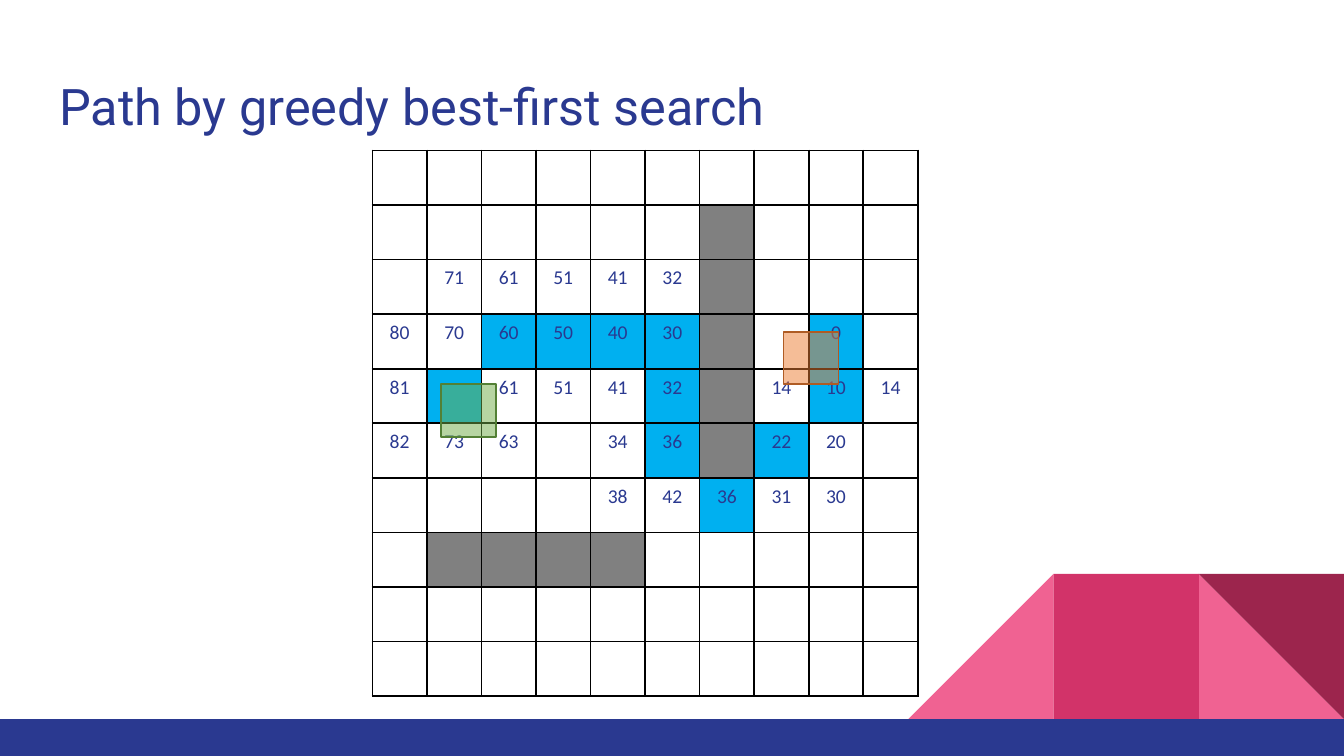
"""Build a slide showing the grid path found by greedy best-first search."""
import lxml.etree
import pptx
import pptx.dml.color
import pptx.enum.shapes
import pptx.enum.text
import pptx.oxml
import pptx.oxml.ns
import pptx.util

Inches = pptx.util.Inches
Pt = pptx.util.Pt
Shape = pptx.enum.shapes.MSO_SHAPE
qn = pptx.oxml.ns.qn

NAVY = "2A3990"
PINK = "F06292"
WALL = "808080"
PATH_BLUE = "00B0F0"


def color(hex_string):
    """Turn a hex string into a colour."""
    return pptx.dml.color.RGBColor.from_string(hex_string)


def add_block(kind, left, top, width, height, fill):
    """Add a filled shape without outline or shadow."""
    block = slide.shapes.add_shape(
        kind, Inches(left), Inches(top), Inches(width), Inches(height))
    block.shadow.inherit = False
    block.fill.solid()
    block.fill.fore_color.rgb = color(fill)
    block.line.fill.background()
    return block


deck = pptx.Presentation()
deck.slide_width = Inches(10)
deck.slide_height = Inches(10) * 9 // 16
slide = deck.slides.add_slide(deck.slide_layouts[5])

side = 1.08
decor_top = 4.27
add_block(Shape.RIGHT_TRIANGLE, 8.92, decor_top, side, side, PINK)
left_triangle = add_block(Shape.RIGHT_TRIANGLE, 6.76, decor_top, side, side, PINK)
left_triangle.element.spPr.xfrm.set("flipH", "1")
add_block(Shape.RECTANGLE, 7.84, decor_top, side, side, "D23369")
dark_triangle = add_block(Shape.RIGHT_TRIANGLE, 8.92, decor_top, side, side, "9C254D")
dark_triangle.rotation = 180
add_block(Shape.RECTANGLE, 0, 5.35, 10, 0.28, NAVY)

title = slide.shapes.title
title.left, title.top = Inches(0.34), Inches(0.45)
title.width, title.height = Inches(9.32), Inches(0.66)
frame = title.text_frame
frame.text = "Path by greedy best-first search"
frame.word_wrap = True
frame.auto_size = pptx.enum.text.MSO_AUTO_SIZE.NONE
frame.vertical_anchor = pptx.enum.text.MSO_ANCHOR.BOTTOM
frame.margin_left = frame.margin_right = Inches(0.1)
frame.margin_top = frame.margin_bottom = Inches(0.1)
para = frame.paragraphs[0]
para.alignment = pptx.enum.text.PP_ALIGN.LEFT
para.font.size = Pt(27)
para.font.name = "Roboto"
para.font.color.rgb = color(NAVY)

grid_rows = [
    ".  .  .   .   .   .   .   .   .   .",
    ".  .  .   .   .   .   #   .   .   .",
    ".  71 61  51  41  32  #   .   .   .",
    "80 70 *60 *50 *40 *30 #   .   *0  .",
    "81 *  61  51  41  *32 #   14  *10 14",
    "82 73 63  .   34  *36 #   *22 20  .",
    ".  .  .   .   38  42  *36 31  30  .",
    ".  #  #   #   #   .   .   .   .   .",
    ".  .  .   .   .   .   .   .   .   .",
    ".  .  .   .   .   .   .   .   .   .",
]
count = len(grid_rows)
grid_size = Inches(4.06)
grid = slide.shapes.add_table(
    count, count, Inches(2.77), Inches(1.12), grid_size, grid_size).table
grid.first_row = False
grid.horz_banding = False
for grid_column in grid.columns:
    grid_column.width = grid_size // count
for grid_row in grid.rows:
    grid_row.height = grid_size // count

for row, row_text in enumerate(grid_rows):
    for column, mark in enumerate(row_text.split()):
        cell = grid.cell(row, column)
        cell.margin_left = cell.margin_right = Inches(0.08)
        cell.margin_top = cell.margin_bottom = Inches(0.05)
        cell.text = mark.strip(".#*")
        para = cell.text_frame.paragraphs[0]
        para.alignment = pptx.enum.text.PP_ALIGN.CENTER
        para.font.size = Pt(10.5)
        para.font.name = "Calibri"
        para.font.color.rgb = color(NAVY)
        if mark == "#" or mark.startswith("*"):
            cell.fill.solid()
            cell.fill.fore_color.rgb = color(WALL if mark == "#" else PATH_BLUE)
        else:
            cell.fill.background()
        properties = cell._tc.get_or_add_tcPr()
        for index, edge in enumerate(("a:lnL", "a:lnR", "a:lnT", "a:lnB")):
            border = lxml.etree.Element(qn(edge), w=str(Pt(1)))
            border_fill = lxml.etree.SubElement(border, qn("a:solidFill"))
            lxml.etree.SubElement(border_fill, qn("a:srgbClr"), val="000000")
            properties.insert(index, border)

for left, top, fill, outline in (
    (5.83, 2.47, "ED7D31", "AF5C24"),
    (3.28, 2.86, "70AD47", "538035"),
):
    marker = add_block(Shape.RECTANGLE, left, top, 0.41, 0.39, fill)
    marker.line.color.rgb = color(outline)
    marker.line.width = Pt(1)
    fill_color = marker.element.spPr.find(qn("a:solidFill")).find(qn("a:srgbClr"))
    lxml.etree.SubElement(fill_color, qn("a:alpha"), val="50000")

deck.save("out.pptx")
